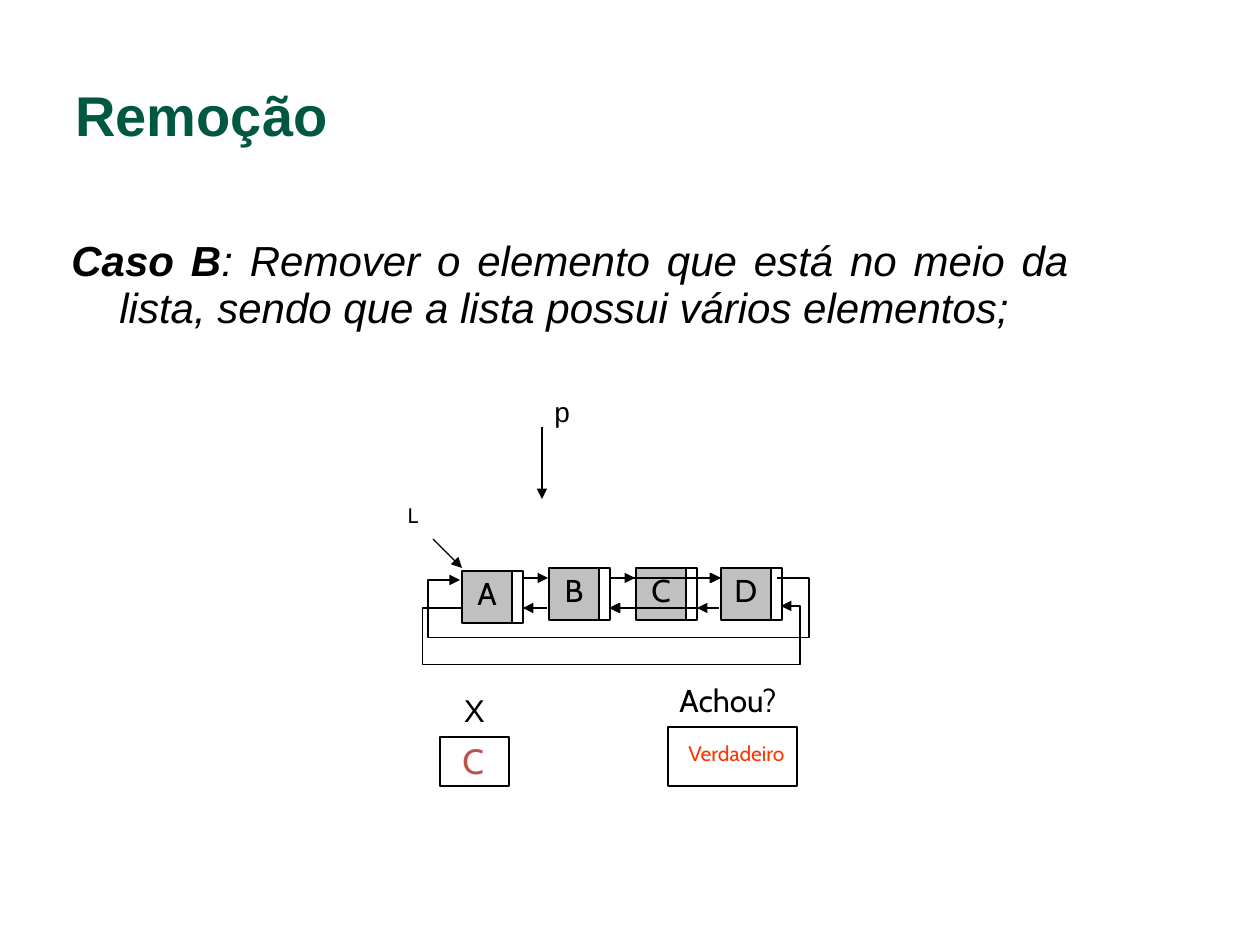
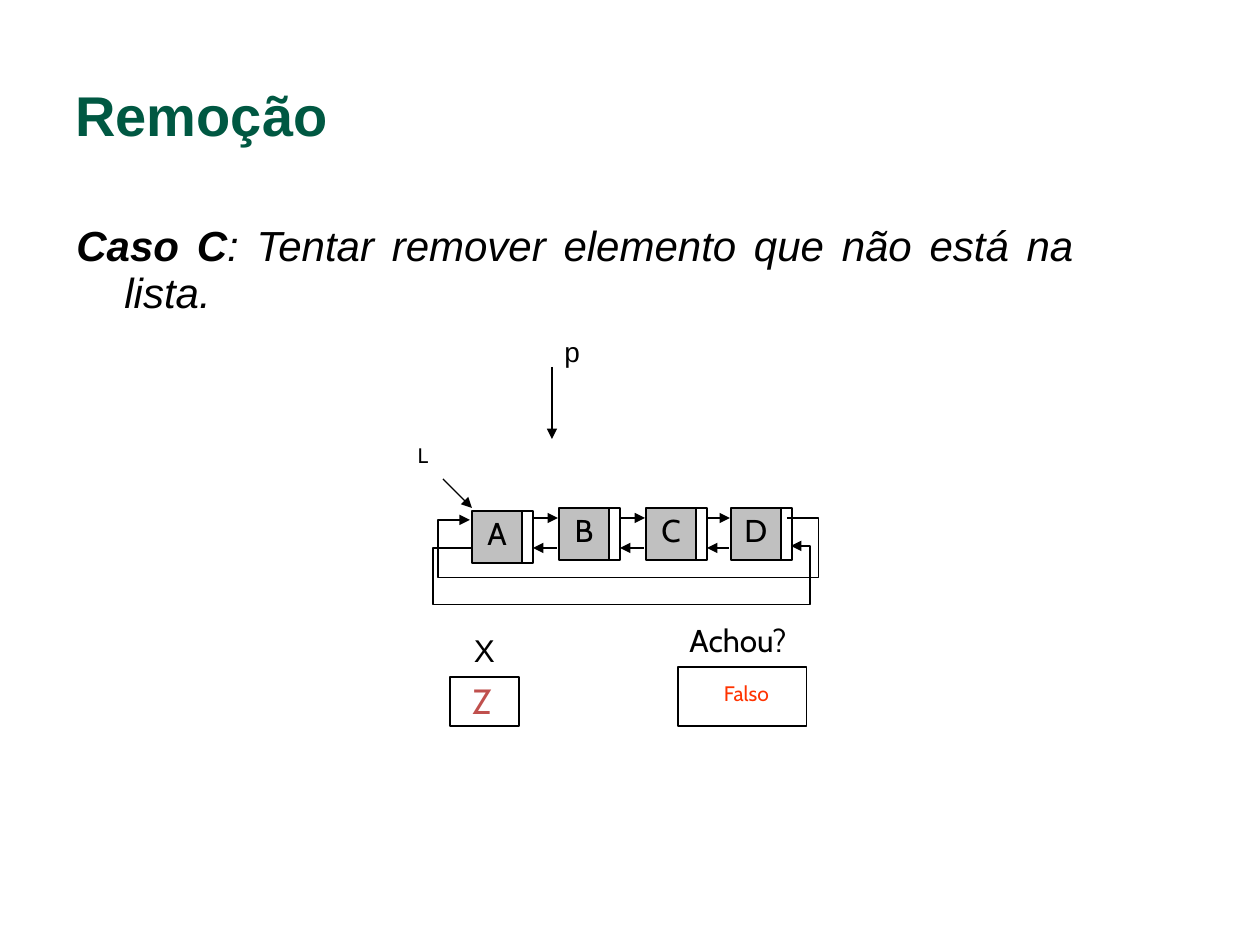
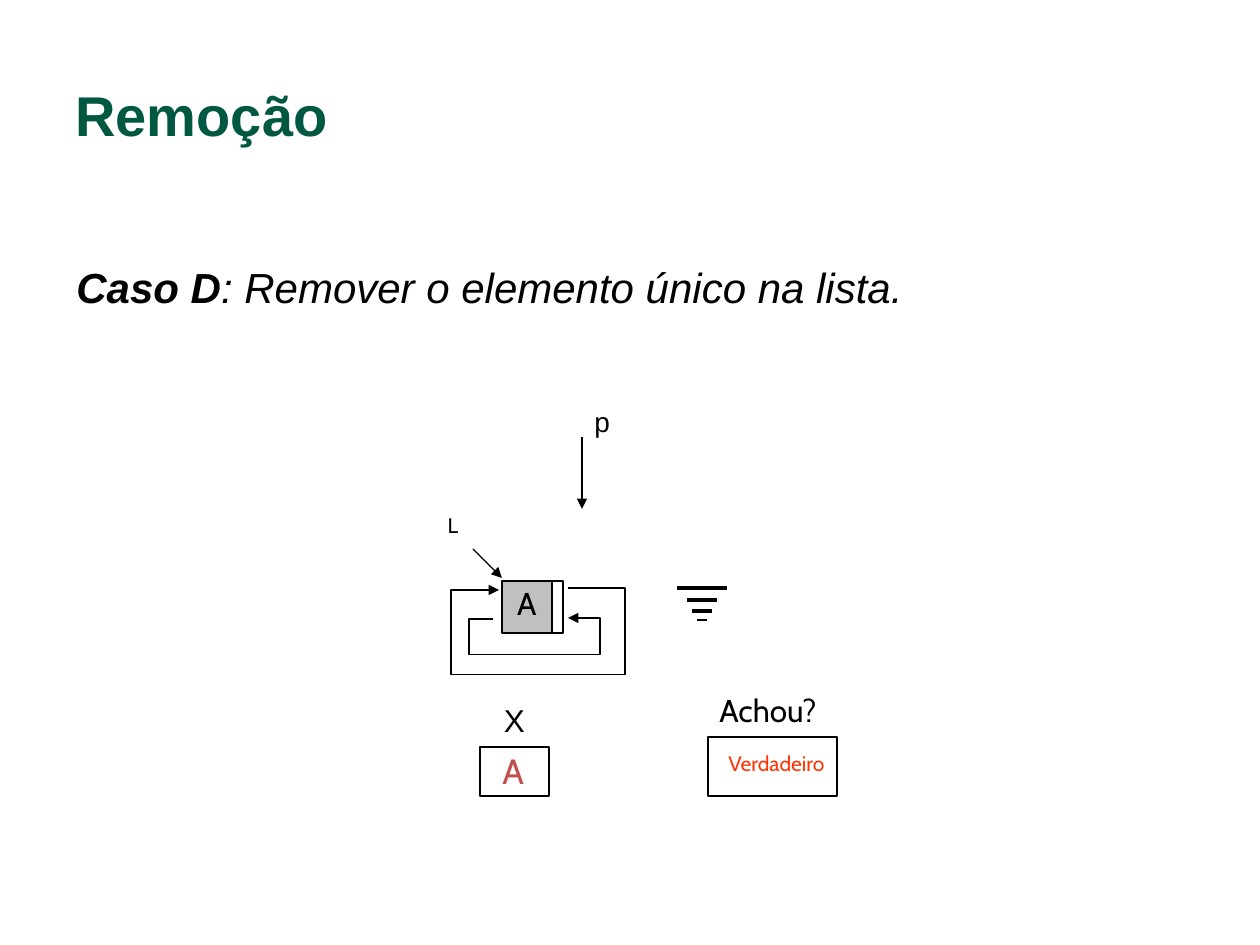
from lxml import etree
from pptx import Presentation
from pptx.dml.color import RGBColor
from pptx.enum.shapes import MSO_CONNECTOR as LINK, MSO_SHAPE
from pptx.enum.text import MSO_ANCHOR, PP_ALIGN
from pptx.oxml.ns import qn
from pptx.util import Pt

PX = 914400 // 126
COLORS = {"title": "005842", "ink": "000000", "node": "C0C0C0", "pointer": "FFFFFF",
          "value": "C0504D", "answer": "FF3300"}
TITLE = "Remoção"
NODE_X = (462, 549, 636, 721)
NODE_Y = (571, 568, 568, 568)
NEXT_Y, PREV_Y = 578, 608

# Loops: start x, y; end x, y; right, bottom and left edges
LONG_LOOPS = ((777, 578, 460, 580, 809, 638, 428), (781, 606, 463, 608, 800, 665, 423))
SINGLE_LOOPS = ((528, 578, 459, 580, 585, 665, 411), (528, 608, 453, 609, 560, 645, 429))
GROUND_CENTER = 662
GROUND_BARS = ((25, 578, 2.25), (15, 590, 2.25), (10, 601, 2.25), (5, 610, 1.5))

CASES = [
    {"case": "Caso B", "rule": ": Remover o elemento que está no meio da lista, "
                               "sendo que a lista possui vários elementos;",
     "rule_at": (59, 233, 1022, 106), "shift": (0, 0), "nodes": "ABCD", "x": "C",
     "found": "Verdadeiro", "loops": LONG_LOOPS, "bypass": True},
    {"case": "Caso C", "rule": ": Tentar remover elemento que não está na lista.",
     "rule_at": (64, 218, 1022, 106), "shift": (10, -60), "nodes": "ABCD", "x": "Z",
     "found": "Falso", "loops": LONG_LOOPS},
    {"case": "Caso D", "rule": ": Remover o elemento único na lista.",
     "rule_at": (64, 260, 1022, 59), "shift": (40, 10), "nodes": "A", "x": "A",
     "found": "Verdadeiro", "loops": SINGLE_LOOPS, "ground": True},
]


def rgb(name):
    return RGBColor.from_string(COLORS[name])


def style(run, size, font, color="ink", bold=False, italic=False):
    run.font.size, run.font.name = Pt(size), font
    run.font.bold, run.font.italic = bold, italic
    run.font.color.rgb = rgb(color)


def write(frame, text, size, font="Cabin", color="ink", align=PP_ALIGN.CENTER):
    frame.word_wrap = True
    frame.vertical_anchor = MSO_ANCHOR.TOP
    frame.text = text
    paragraph = frame.paragraphs[0]
    paragraph.alignment, paragraph.line_spacing = align, 0.93
    style(paragraph.runs[0], size, font, color)
    return paragraph


class Diagram:
    """Draws on one slide, with every place moved by the same shift."""

    def __init__(self, slide, shift=(0, 0)):
        self.shapes = slide.shapes
        self.dx, self.dy = shift

    def place(self, x, y):
        return (x + self.dx) * PX, (y + self.dy) * PX

    def label(self, text, x, y, w, h, size, **look):
        box = self.shapes.add_textbox(*self.place(x, y), w * PX, h * PX)
        return write(box.text_frame, text, size, **look)

    def box(self, x, y, w, h, fill=None):
        rect = self.shapes.add_shape(MSO_SHAPE.RECTANGLE, *self.place(x, y), w * PX, h * PX)
        rect.shadow.inherit = False
        if fill:
            rect.fill.solid()
            rect.fill.fore_color.rgb = rgb(fill)
        else:
            rect.fill.background()
        rect.line.color.rgb = rgb("ink")
        rect.line.width = Pt(0.75)
        return rect

    def line(self, x1, y1, x2, y2, arrow=None, width=0.75, kind=LINK.STRAIGHT):
        """arrow is "tailEnd" for a head at the end, "headEnd" at the start."""
        link = self.shapes.add_connector(kind, *self.place(x1, y1), *self.place(x2, y2))
        link.line.color.rgb = rgb("ink")
        link.line.width = Pt(width)
        properties = link._element.spPr
        if arrow:
            etree.SubElement(properties.find(qn("a:ln")), qn("a:" + arrow), type="triangle")
        etree.SubElement(properties, qn("a:effectLst"))
        return link

    def loop(self, x1, y1, x2, y2, right, bottom, left, arrow):
        link = self.line(x1, y1, x2, y2, arrow, kind=LINK.ELBOW)
        geometry = link._element.spPr.find(qn("a:prstGeom"))
        geometry.set("prst", "bentConnector5")
        guides = geometry.find(qn("a:avLst"))
        bends = ((x1 - right) / (x1 - x2), (bottom - y1) / (y2 - y1), (x1 - left) / (x1 - x2))
        for number, bend in enumerate(bends, 1):
            etree.SubElement(guides, qn("a:gd"), name=f"adj{number}",
                             fmla=f"val {round(bend * 100000)}")


def add_headings(slide, case):
    page = Diagram(slide)
    title = page.label(TITLE, 63, 69, 1134, 126, 32, font="Arial",
                       color="title", align=PP_ALIGN.LEFT)
    title.line_spacing = 1.0
    title.runs[0].font.bold = True
    slide.shapes[0].text_frame.margin_top = 12 * PX

    rule = page.label(case["case"], *case["rule_at"], 24, font="Arial", align=PP_ALIGN.JUSTIFY)
    style(rule.runs[0], 24, "Arial", bold=True, italic=True)
    rest = rule.add_run()
    rest.text = case["rule"]
    style(rest, 24, "Arial", italic=True)
    indent = rule._p.get_or_add_pPr()
    indent.set("marL", str(48 * PX))
    indent.set("indent", str(-48 * PX))


def add_list(diagram, case):
    nodes = list(zip(case["nodes"], NODE_X, NODE_Y))
    neighbours = list(zip(NODE_X, NODE_X[1:]))[:len(nodes) - 1]
    for left, following in neighbours:
        diagram.line(left + 49, NEXT_Y, following - 1, NEXT_Y, "tailEnd")
    for name, x, y in nodes:
        diagram.box(x + 48, y, 13, 52, "pointer")
        write(diagram.box(x, y, 50, 52, "node").text_frame, name, 18)
    for loop, arrow in zip(case["loops"], ("tailEnd", "headEnd")):
        diagram.loop(*loop, arrow)
    for left, following in neighbours:
        diagram.line(left + 61, PREV_Y, following - 2, PREV_Y, "headEnd")
    if case.get("bypass"):
        diagram.line(609, PREV_Y, 716, PREV_Y, "headEnd")
        diagram.line(612, NEXT_Y, 721, NEXT_Y, "tailEnd")


def add_variables(diagram, case):
    diagram.label("L", 393, 499, 40, 38, 12)
    diagram.line(433, 539, 462, 568, "tailEnd")
    diagram.label("p", 542, 391, 39, 47, 16, font="Arial", align=PP_ALIGN.LEFT)
    diagram.line(542, 427, 542, 499, "tailEnd")
    diagram.label("Achou?", 619, 678, 218, 42, 18)
    diagram.box(668, 727, 129, 59)
    diagram.label(case["found"], 668, 737, 137, 38, 12, color="answer")
    diagram.label("X", 430, 688, 89, 50, 18, font="Arial")
    diagram.box(440, 737, 69, 49)
    diagram.label(case["x"], 450, 737, 49, 53, 20, color="value", align=PP_ALIGN.LEFT)


def main():
    deck = Presentation()
    deck.slide_width, deck.slide_height = 1260 * PX, 945 * PX
    for case in CASES:
        slide = deck.slides.add_slide(deck.slide_layouts[6])
        add_headings(slide, case)
        diagram = Diagram(slide, case["shift"])
        add_list(diagram, case)
        add_variables(diagram, case)
        if case.get("ground"):
            for half, y, width in GROUND_BARS:
                diagram.line(GROUND_CENTER - half, y, GROUND_CENTER + half, y, width=width)
    deck.save("out.pptx")


if __name__ == "__main__":
    main()
